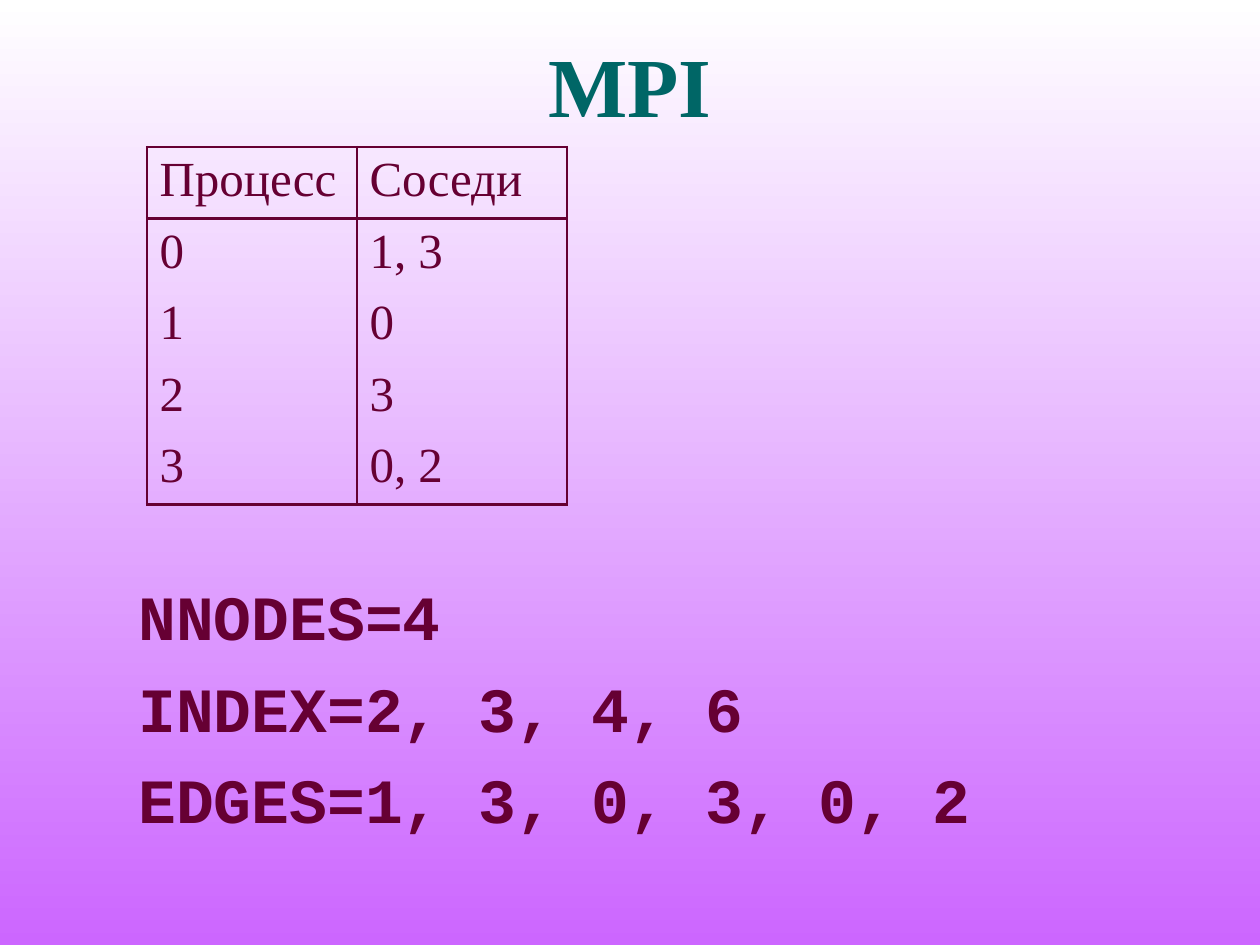
import lxml.etree
import pptx
import pptx.dml.color
import pptx.enum.text
import pptx.oxml.ns
import pptx.util

COLORS = {"title": "006666", "text": "660033", "top": "FFFFFF", "bottom": "CC66FF"}
SLIDE_WIDTH, SLIDE_HEIGHT = pptx.util.Inches(10), pptx.util.Inches(7.5)
COLUMNS, ROWS = 120, 90
BORDER_WIDTH = pptx.util.Pt(1.47)
TITLE_FONT = {"name": "Times New Roman", "size": pptx.util.Pt(48), "bold": True}
CODE_FONT = {"name": "Courier New", "size": pptx.util.Pt(36), "bold": True}
CELL_FONT = {"name": "Times New Roman", "size": pptx.util.Pt(28), "bold": False}
NEIGHBOURS = [("Процесс", "Соседи"), ("0", "1, 3"), ("1", "0"), ("2", "3"), ("3", "0, 2")]
GRAPH_LINES = ["NNODES=4", "INDEX=2, 3, 4, 6", "EDGES=1, 3, 0, 3, 0, 2"]


def grid_box(left, top, width, height):
    """Turn grid columns and rows into slide lengths."""
    column, row = SLIDE_WIDTH // COLUMNS, SLIDE_HEIGHT // ROWS
    return left * column, top * row, width * column, height * row


def rgb(name):
    """Look up a named colour."""
    return pptx.dml.color.RGBColor.from_string(COLORS[name])


def apply_format(target, values):
    """Set each attribute given in the dict."""
    for attribute, value in values.items():
        setattr(target, attribute, value)


def write_paragraph(paragraph, text, font, color):
    """Fill a paragraph with text in one format."""
    run = paragraph.add_run()
    run.text = text
    apply_format(run.font, font)
    run.font.color.rgb = rgb(color)


def paint_background(slide):
    """Fill the slide with a gradient running downwards."""
    fill = slide.background.fill
    fill.gradient()
    fill.gradient_angle = 270
    for stop, name in zip(fill.gradient_stops, ("top", "bottom")):
        stop.color.rgb = rgb(name)


def add_title(slide, box):
    """Place the centred slide title."""
    frame = slide.shapes.add_textbox(*box).text_frame
    apply_format(frame, {"word_wrap": True,
                         "vertical_anchor": pptx.enum.text.MSO_ANCHOR.MIDDLE})
    heading = frame.paragraphs[0]
    heading.alignment = pptx.enum.text.PP_ALIGN.CENTER
    write_paragraph(heading, "MPI", TITLE_FONT, "title")


def add_graph_lines(slide, box):
    """Place the lines that describe the graph."""
    frame = slide.shapes.add_textbox(*box).text_frame
    apply_format(frame, {"word_wrap": True, "margin_top": pptx.util.Inches(0.17)})
    for index, line in enumerate(GRAPH_LINES):
        paragraph = frame.add_paragraph() if index else frame.paragraphs[0]
        paragraph.space_before = pptx.util.Pt(9 if index else 0)
        write_paragraph(paragraph, line, CODE_FONT, "text")


def set_borders(cell, visible):
    """Draw the visible sides of a cell and clear the others."""
    properties = cell._tc.get_or_add_tcPr()
    qn = pptx.oxml.ns.qn
    for side in "LRTB":
        border = lxml.etree.SubElement(properties, qn(f"a:ln{side}"), w=str(BORDER_WIDTH))
        if side in visible:
            solid = lxml.etree.SubElement(border, qn("a:solidFill"))
            lxml.etree.SubElement(solid, qn("a:srgbClr"), val=COLORS["text"])
        else:
            lxml.etree.SubElement(border, qn("a:noFill"))


def add_neighbour_table(slide, box):
    """Place the table of processes and their neighbours."""
    last = len(NEIGHBOURS) - 1
    table = slide.shapes.add_table(len(NEIGHBOURS), len(NEIGHBOURS[0]), *box).table
    apply_format(table, {"first_row": False, "horz_banding": False})
    for row, texts in enumerate(NEIGHBOURS):
        visible = "LR" + ("T" if row in (0, 1) else "") + ("B" if row in (0, last) else "")
        for column, text in enumerate(texts):
            cell = table.cell(row, column)
            set_borders(cell, visible)
            cell.fill.background()
            write_paragraph(cell.text_frame.paragraphs[0], text, CELL_FONT, "text")


def main():
    """Build and save the slide."""
    presentation = pptx.Presentation()
    apply_format(presentation, {"slide_width": SLIDE_WIDTH, "slide_height": SLIDE_HEIGHT})
    slide = presentation.slides.add_slide(presentation.slide_layouts[6])
    paint_background(slide)
    add_title(slide, grid_box(9, 2, 102, 12))
    add_graph_lines(slide, grid_box(12, 53, 102, 28))
    add_neighbour_table(slide, grid_box(14, 14, 40, 34))
    presentation.save("out.pptx")


if __name__ == "__main__":
    main()
